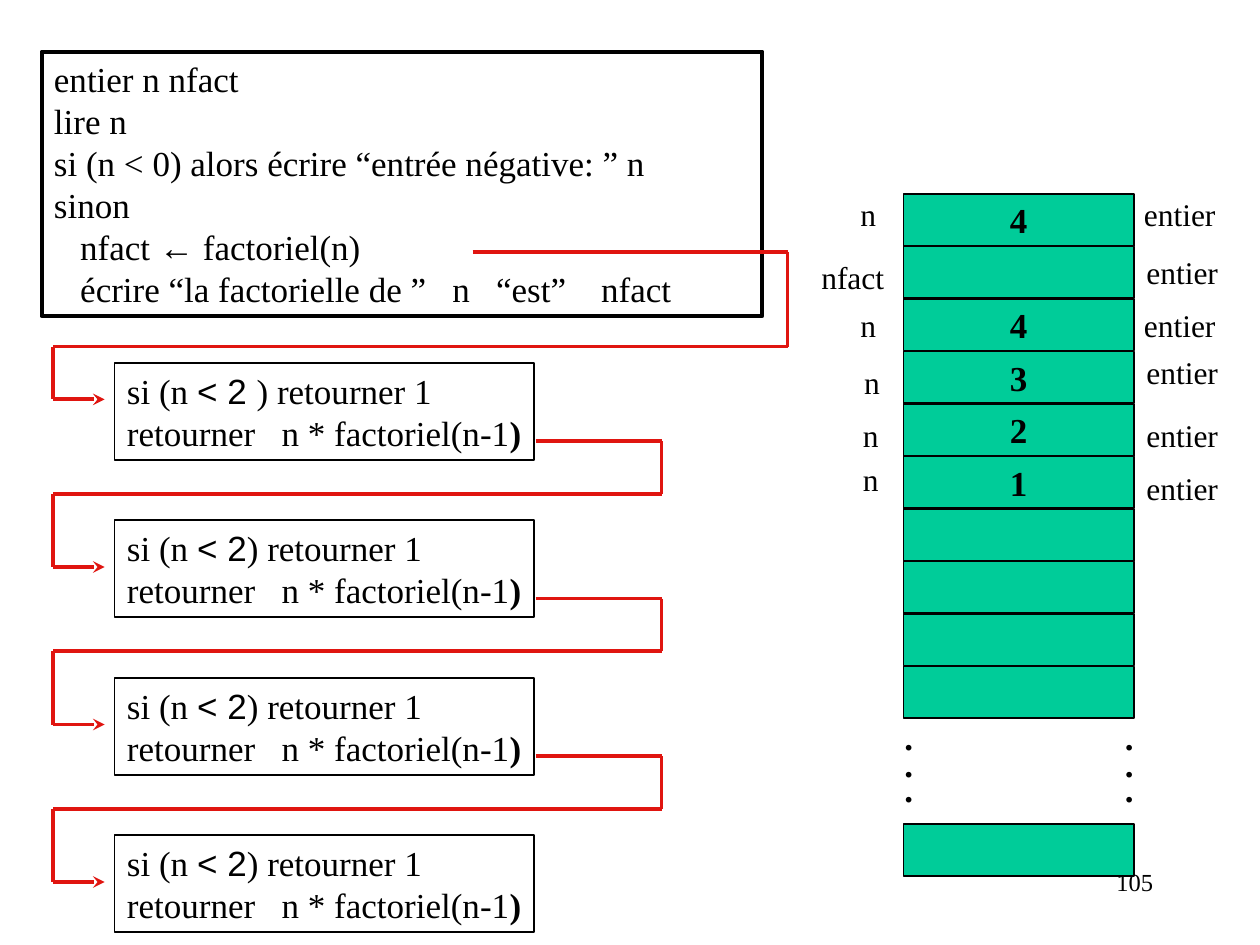
"""Build the slide that traces recursive factorial calls beside the memory stack."""
from itertools import pairwise

from lxml.etree import SubElement
from pptx import Presentation
from pptx.dml.color import RGBColor
from pptx.enum.shapes import MSO_CONNECTOR, MSO_SHAPE
from pptx.enum.text import MSO_ANCHOR, MSO_AUTO_SIZE, PP_ALIGN
from pptx.oxml.ns import qn
from pptx.util import Inches, Pt

BLACK, WHITE, GREEN, RED = "000000", "FFFFFF", "00CC99", "E01510"
SERIF, SANS = "Times New Roman", "Arial"

PROGRAM = [
    ["entier n nfact"],
    ["lire n"],
    ["si (n < 0) alors écrire “entrée négative: ” n"],
    ["sinon"],
    ["   nfact ", ("←", {"name": SANS}), " factoriel(n)"],
    ["   écrire “la factorielle de ”   n   “est”    nfact"],
]
RETURN_LINE = ["retourner   n * factoriel(n-1", (")", {"bold": True})]

CALL_TOPS = [2.88 + 1.25 * index for index in range(4)]
CELL_STEP = 5 / 12
CELL_TOP = 1.54
CELL_VALUES = {0: "4", 2: "4", 3: "3", 4: "2", 5: "1"}
CELL_ROWS = [*range(10), 12]

NAME_LABELS = [
    ("n", 6.73, 1.5), ("nfact", 6.42, 2), ("n", 6.73, 2.38),
    ("n", 6.76, 2.83), ("n", 6.75, 3.25), ("n", 6.75, 3.6),
]
TYPE_LABELS = [(8.98, 1.5), (9, 1.96), (8.98, 2.38), (9, 2.75), (9, 3.25), (9, 3.67)]
LABEL_WIDTHS = {"n": 0.33, "nfact": 0.7, "entier": 0.77}


def color(value):
    return RGBColor.from_string(value)


class SlideBuilder:
    def __init__(self, slide):
        self.slide = slide
        self.font = {"name": SERIF, "size": Pt(20), "bold": False}

    def add_lines(self, shape, lines, font=None, paragraph=None, frame=None):
        text_frame = shape.text_frame
        for name, value in {"word_wrap": False, **(frame or {})}.items():
            setattr(text_frame, name, value)
        for index, line in enumerate(lines):
            para = text_frame.add_paragraph() if index else text_frame.paragraphs[0]
            for name, value in {"alignment": PP_ALIGN.LEFT, **(paragraph or {})}.items():
                setattr(para, name, value)
            for part in line:
                text, extra = (part, {}) if isinstance(part, str) else part
                span = para.add_run()
                span.text = text
                span.font.color.rgb = color(BLACK)
                for name, value in {**self.font, **(font or {}), **extra}.items():
                    setattr(span.font, name, value)
        return text_frame

    def text(self, place, lines, **formats):
        box = self.slide.shapes.add_textbox(*map(Inches, place))
        return self.add_lines(box, lines, **formats)

    def box(self, place, fill, lines=(), width=1, **formats):
        box = self.slide.shapes.add_shape(MSO_SHAPE.RECTANGLE, *map(Inches, place))
        box.shadow.inherit = False
        box.fill.solid()
        box.fill.fore_color.rgb = color(fill)
        box.line.color.rgb = color(BLACK)
        box.line.width = Pt(width)
        self.add_lines(box, lines, **formats)

    def route(self, points):
        for start, end in pairwise(points):
            connector = self.slide.shapes.add_connector(
                MSO_CONNECTOR.STRAIGHT, *map(Inches, (*start, *end)))
            connector.line.color.rgb = color(RED)
            connector.line.width = Pt(2.25)
            outline = connector.get_or_add_ln()
            if end == points[-1]:
                SubElement(outline, qn("a:tailEnd"), type="stealth")
            SubElement(outline.getparent(), qn("a:effectLst"))


def build():
    deck = Presentation()
    deck.slide_width, deck.slide_height = Inches(10), Inches(7.5)
    page = SlideBuilder(deck.slides.add_slide(deck.slide_layouts[6]))
    top_frame = {"vertical_anchor": MSO_ANCHOR.TOP,
                 "auto_size": MSO_AUTO_SIZE.SHAPE_TO_FIT_TEXT}

    page.text((7.17, 6.83, 2.08, 0.5), [["105"]], font={"size": Pt(14)},
              paragraph={"alignment": PP_ALIGN.RIGHT}, frame={"word_wrap": True})
    page.box((0.33, 0.41, 5.72, 2.1), WHITE, PROGRAM, width=2.25,
             frame={**top_frame, "word_wrap": True})

    for index, top in enumerate(CALL_TOPS):
        test = "< 2" if index else "< 2 "
        condition = ["si (n ", (test, {"name": SANS}), ") retourner 1"]
        page.box((0.91, top, 3.33, 0.77), WHITE, [condition, RETURN_LINE],
                 frame=top_frame)

    for row in CELL_ROWS:
        lines = [[CELL_VALUES[row]]] if row in CELL_VALUES else []
        page.box((7.17, CELL_TOP + row * CELL_STEP, 1.83, 0.41), GREEN, lines,
                 font={"bold": True}, paragraph={"alignment": PP_ALIGN.CENTER},
                 frame={"vertical_anchor": MSO_ANCHOR.MIDDLE})

    for left in (7.08, 8.83):
        dots = page.text((left, 5.63, 0.27, 1.03), [["."]] * 3,
                         font={"bold": True}, frame=top_frame)
        for para in dots.paragraphs[1:]:
            para.line_spacing = 0.6

    for name, left, top in NAME_LABELS + [("entier", *spot) for spot in TYPE_LABELS]:
        page.text((left, top, LABEL_WIDTHS[name], 0.4), [[name]],
                  font={"size": Pt(18)}, frame=top_frame)

    page.route([(3.75, 2), (6.25, 2), (6.25, 2.75), (0.42, 2.75),
                (0.42, 3.17), (0.83, 3.17)])
    for top in CALL_TOPS[:-1]:
        leave, turn, enter = top + 0.62, top + 1.04, top + 1.62
        page.route([(4.25, leave), (5.25, leave), (5.25, turn), (0.42, turn),
                    (0.42, enter), (0.83, enter)])

    deck.save("out.pptx")


if __name__ == "__main__":
    build()
